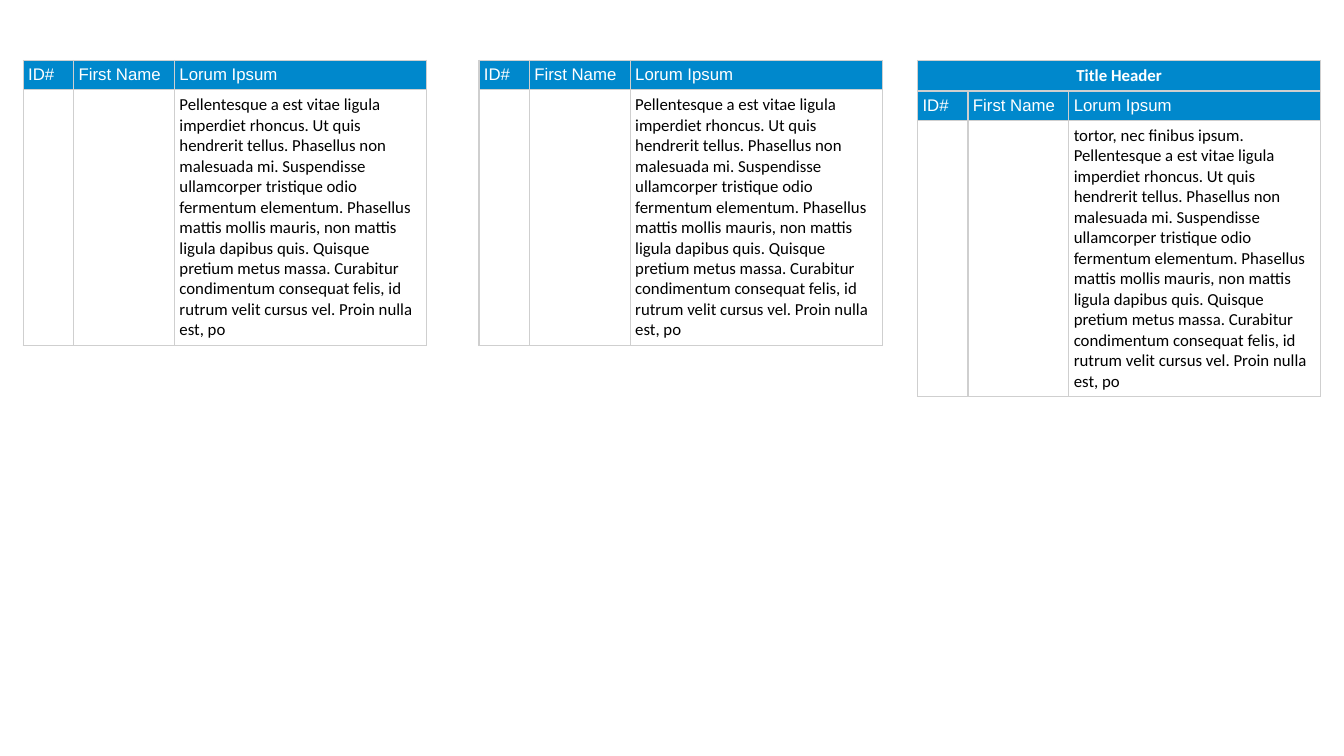
from lxml.etree import SubElement
from pptx import Presentation
from pptx.dml.color import RGBColor
from pptx.enum.text import MSO_ANCHOR, PP_ALIGN
from pptx.oxml.ns import qn
from pptx.util import Inches, Pt

BLUE = RGBColor(0x00, 0x88, 0xCC)
GREY = RGBColor(0xCF, 0xCF, 0xCF)
WHITE = RGBColor(0xFF, 0xFF, 0xFF)
BLACK = RGBColor(0x00, 0x00, 0x00)

COLUMN_WIDTHS = (0.5, 1, 2.5)
HEADINGS = ("ID#", "First Name", "Lorum Ipsum")
TOP = 0.6
TITLE_HEIGHT = 0.3
HEADING_HEIGHT = 0.29
PASSAGE = (
    "Pellentesque a est vitae ligula imperdiet rhoncus. Ut quis hendrerit tellus. "
    "Phasellus non malesuada mi. Suspendisse ullamcorper tristique odio fermentum "
    "elementum. Phasellus mattis mollis mauris, non mattis ligula dapibus quis. "
    "Quisque pretium metus massa. Curabitur condimentum consequat felis, id rutrum "
    "velit cursus vel. Proin nulla est, po"
)


def add_borders(cell):
    properties = cell._tc.get_or_add_tcPr()
    for side in ("a:lnL", "a:lnR", "a:lnT", "a:lnB"):
        line = SubElement(properties, qn(side), w=str(Pt(1)))
        fill = SubElement(line, qn("a:solidFill"))
        SubElement(fill, qn("a:srgbClr"), val=str(GREY))


def style_cell(cell, fill=None):
    add_borders(cell)
    if fill is None:
        cell.fill.background()
    else:
        cell.fill.solid()
        cell.fill.fore_color.rgb = fill
    cell.margin_left = cell.margin_right = Inches(0.05)
    cell.margin_top = cell.margin_bottom = Inches(0.05)


def write_cell(cell, text, font_name, color, bold=False):
    cell.text_frame.text = text
    font = cell.text_frame.paragraphs[0].runs[0].font
    font.name = font_name
    font.size = Pt(12)
    font.bold = bold
    font.color.rgb = color


def add_title(table, title):
    for cell in table.rows[0].cells:
        style_cell(cell, BLUE)
    title_cell = table.cell(0, 0)
    title_cell.merge(table.cell(0, len(HEADINGS) - 1))
    write_cell(title_cell, title, "Calibri", WHITE, bold=True)
    title_cell.text_frame.paragraphs[0].alignment = PP_ALIGN.CENTER


def add_listing(slide, left, passage, body_height, title=None):
    heights = [HEADING_HEIGHT, body_height]
    if title:
        heights.insert(0, TITLE_HEIGHT)
    frame = slide.shapes.add_table(
        len(heights), len(HEADINGS), Inches(left), Inches(TOP),
        Inches(sum(COLUMN_WIDTHS)), Inches(sum(heights)))
    table = frame.table
    table.first_row = False
    table.horz_banding = False
    for column, width in zip(table.columns, COLUMN_WIDTHS):
        column.width = Inches(width)
    for row, height in zip(table.rows, heights):
        row.height = Inches(height)

    if title:
        add_title(table, title)
    heading_row = len(heights) - 2
    for index, heading in enumerate(HEADINGS):
        heading_cell = table.cell(heading_row, index)
        style_cell(heading_cell, BLUE)
        heading_cell.vertical_anchor = MSO_ANCHOR.MIDDLE
        write_cell(heading_cell, heading, "Arial", WHITE)
        style_cell(table.cell(heading_row + 1, index))
    write_cell(table.cell(heading_row + 1, 2), passage, "Calibri", BLACK)


def main():
    deck = Presentation()
    deck.slide_width = Inches(13.33)
    deck.slide_height = Inches(7.5)
    slide = deck.slides.add_slide(deck.slide_layouts[6])
    for left in (0.23, 4.75):
        add_listing(slide, left, PASSAGE, 2.54)
    add_listing(slide, 9.1, "tortor, nec finibus ipsum. " + PASSAGE, 2.74, "Title Header")
    deck.save("out.pptx")


if __name__ == "__main__":
    main()
